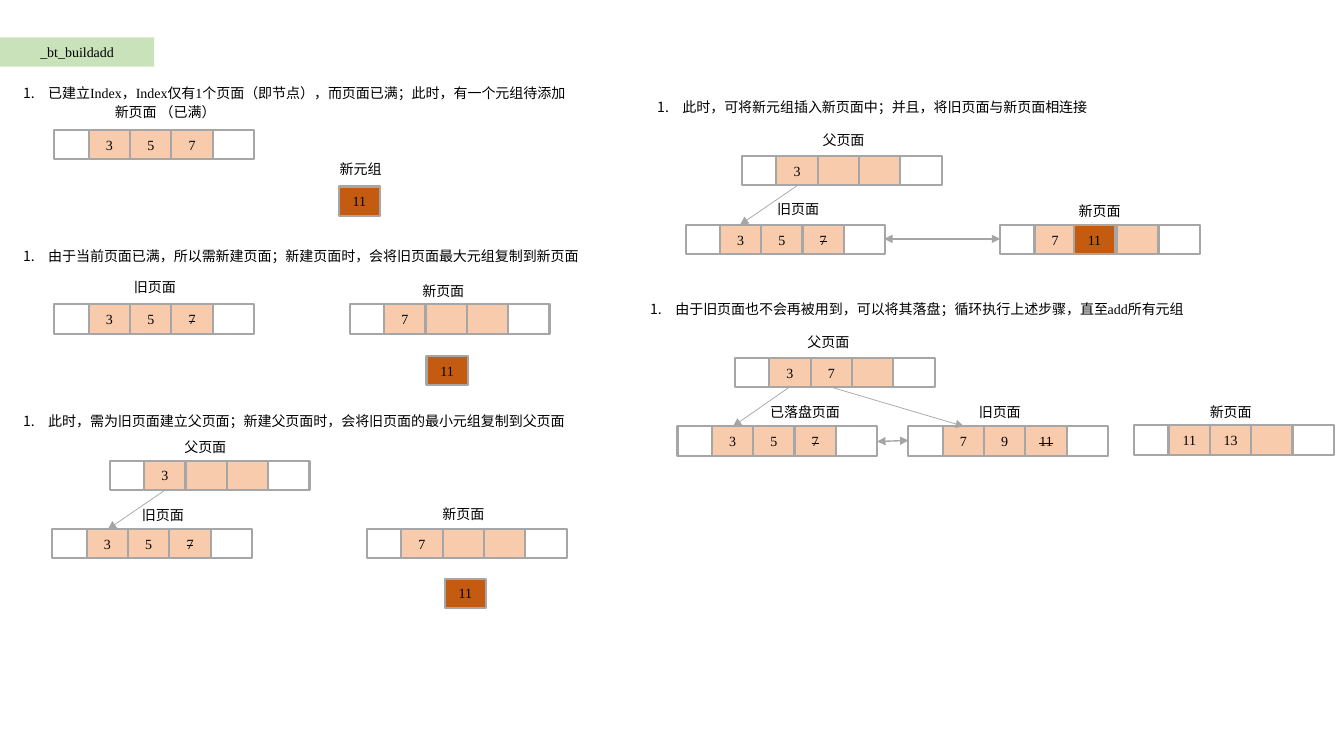
from pptx import Presentation
from pptx.dml.color import RGBColor
from pptx.enum.shapes import MSO_CONNECTOR, MSO_SHAPE
from pptx.enum.text import MSO_ANCHOR, MSO_AUTO_SIZE, PP_ALIGN
from pptx.oxml.ns import qn
from pptx.util import Inches, Pt
from lxml.etree import SubElement

COLORS = {
    "title": "C5E0B4", "page": "FFFFFF", "item": "F8CBAD", "new": "C55A11",
    "edge": "A6A6A6", "arrow": "A5A5A5", "text": "000000",
}
FONT, SIZE = "Times New Roman", 10
END, CELL, HIGH = 0.34, 0.41, 0.29

TITLE = "_bt_buildadd"

# left, top, width, text
STEPS = [
    (0.13, 0.79, 5.72, "已建立Index，Index仅有1个页面（即节点），而页面已满；此时，有一个元组待添加"),
    (0.13, 2.41, 5.85, "由于当前页面已满，所以需新建页面；新建页面时，会将旧页面最大元组复制到新页面"),
    (0.13, 4.04, 5.85, "此时，需为旧页面建立父页面；新建父页面时，会将旧页面的最小元组复制到父页面"),
    (6.42, 0.93, 5.85, "此时，可将新元组插入新页面中；并且，将旧页面与新页面相连接"),
    (6.35, 2.93, 5.85, "由于旧页面也不会再被用到，可以将其落盘；循环执行上述步骤，直至add所有元组"),
]

# left, top, three items; "~" marks an item struck out
PAGES = [
    (0.54, 1.29, ("3", "5", "7")),
    (0.54, 3.02, ("3", "5", "~7")),
    (3.47, 3.02, ("7", "", "")),
    (1.09, 4.57, ("3", "", "")),
    (0.52, 5.25, ("3", "5", "~7")),
    (3.64, 5.25, ("7", "", "")),
    (7.36, 1.55, ("3", "", "")),
    (6.80, 2.23, ("3", "5", "~7")),
    (9.92, 2.23, ("7", "", "")),
    (7.29, 3.55, ("3", "7", "")),
    (6.72, 4.23, ("3", "5", "~7")),
    (9.01, 4.23, ("7", "9", "~11")),
    (11.25, 4.22, ("11", "13", "")),
]

NEW = "11"
TUPLES = [(3.36, 1.85), (4.23, 3.53), (4.41, 5.74), (10.65, 2.23)]

# left, top, width, text
LABELS = [
    (1.04, 0.98, 1.27, "新页面 （已满）"),
    (3.27, 1.54, 0.62, "新元组"),
    (1.23, 2.71, 0.92, "旧页面"),
    (4.09, 2.75, 0.92, "新页面"),
    (1.73, 4.30, 0.68, "父页面"),
    (1.31, 4.98, 0.68, "旧页面"),
    (4.29, 4.97, 0.92, "新页面"),
    (8.06, 1.26, 0.68, "父页面"),
    (7.61, 1.94, 0.68, "旧页面"),
    (10.60, 1.96, 0.68, "新页面"),
    (7.91, 3.26, 0.68, "父页面"),
    (7.54, 3.95, 1.06, "已落盘页面"),
    (9.61, 3.95, 0.68, "旧页面"),
    (11.90, 3.95, 0.68, "新页面"),
]

# from, to
CHILD = [
    ((1.64, 4.86), (1.07, 5.25)),
    ((7.91, 1.84), (7.34, 2.23)),
    ((7.83, 3.84), (7.27, 4.23)),
    ((8.24, 3.84), (9.56, 4.23)),
]
PEERS = [((8.77, 2.37), (9.92, 2.37)), ((8.70, 4.38), (9.01, 4.37))]


def color(name):
    """Return a named colour."""
    return RGBColor.from_string(COLORS[name])


def write(frame, text):
    """Put text in a frame, striking it out if marked."""
    frame.text = text.lstrip("~")
    for run in frame.paragraphs[0].runs:
        run.font.name, run.font.size = FONT, Pt(SIZE)
        run.font.color.rgb = color("text")
        if text.startswith("~"):
            run._r.get_or_add_rPr().set("strike", "sngStrike")


def box(shapes, left, top, width, fill, text=""):
    """Add a filled box with centred text."""
    shape = shapes.add_shape(MSO_SHAPE.RECTANGLE, Inches(left), Inches(top),
                             Inches(width), Inches(HIGH))
    shape.shadow.inherit = False
    shape.fill.solid()
    shape.fill.fore_color.rgb = color(fill)
    shape.line.color.rgb = color("edge")
    shape.line.width = Pt(1.5)
    if text:
        frame = shape.text_frame
        frame.vertical_anchor = MSO_ANCHOR.MIDDLE
        write(frame, text)
        frame.paragraphs[0].alignment = PP_ALIGN.CENTER
    return shape


def page(shapes, left, top, items):
    """Add a group of three items between two empty ends."""
    group = shapes.add_group_shape().shapes
    box(group, left, top, END, "page")
    for i, item in enumerate((*items, "")):
        fill = "item" if i < len(items) else "page"
        box(group, left + END + i * CELL, top, CELL, fill, item)


def label(shapes, left, top, width, text):
    """Add a text box and return its paragraph."""
    frame = shapes.add_textbox(Inches(left), Inches(top), Inches(width),
                               Inches(0.27)).text_frame
    frame.word_wrap = True
    frame.auto_size = MSO_AUTO_SIZE.SHAPE_TO_FIT_TEXT
    write(frame, text)
    return frame.paragraphs[0]


def step(shapes, *spot):
    """Add a numbered note with a hanging indent."""
    props = label(shapes, *spot)._p.get_or_add_pPr()
    props.set("marL", str(Inches(0.25)))
    props.set("indent", str(-Inches(0.25)))
    SubElement(props, qn("a:buFont"), typeface="+mj-lt")
    SubElement(props, qn("a:buAutoNum"), type="arabicPeriod")


def arrow(shapes, start, end, width, tips):
    """Add a line with triangles at the given tips."""
    line = shapes.add_connector(MSO_CONNECTOR.STRAIGHT,
                                *map(Inches, (*start, *end)))
    line.line.color.rgb = color("arrow")
    line.line.width = Pt(width)
    for tip in tips:
        SubElement(line.line._get_or_add_ln(), qn("a:" + tip), type="triangle")
    SubElement(line._element.spPr, qn("a:effectLst"))


deck = Presentation()
deck.slide_width, deck.slide_height = Inches(13.33), Inches(7.5)
shapes = deck.slides.add_slide(deck.slide_layouts[6]).shapes

title = box(shapes, 0, 0.37, 1.53, "title", TITLE)
title.line.fill.background()
tint = title._element.spPr.find(qn("a:solidFill"))[0]
SubElement(tint, qn("a:alpha"), val="92000")

for spot in PEERS:
    arrow(shapes, *spot, 1, ("headEnd", "tailEnd"))
for spot in PAGES:
    page(shapes, *spot)
for spot in TUPLES:
    box(shapes, *spot, CELL, "new", NEW)
for spot in STEPS:
    step(shapes, *spot)
for spot in LABELS:
    label(shapes, *spot)
for spot in CHILD:
    arrow(shapes, *spot, 0.5, ("tailEnd",))

deck.save("out.pptx")
